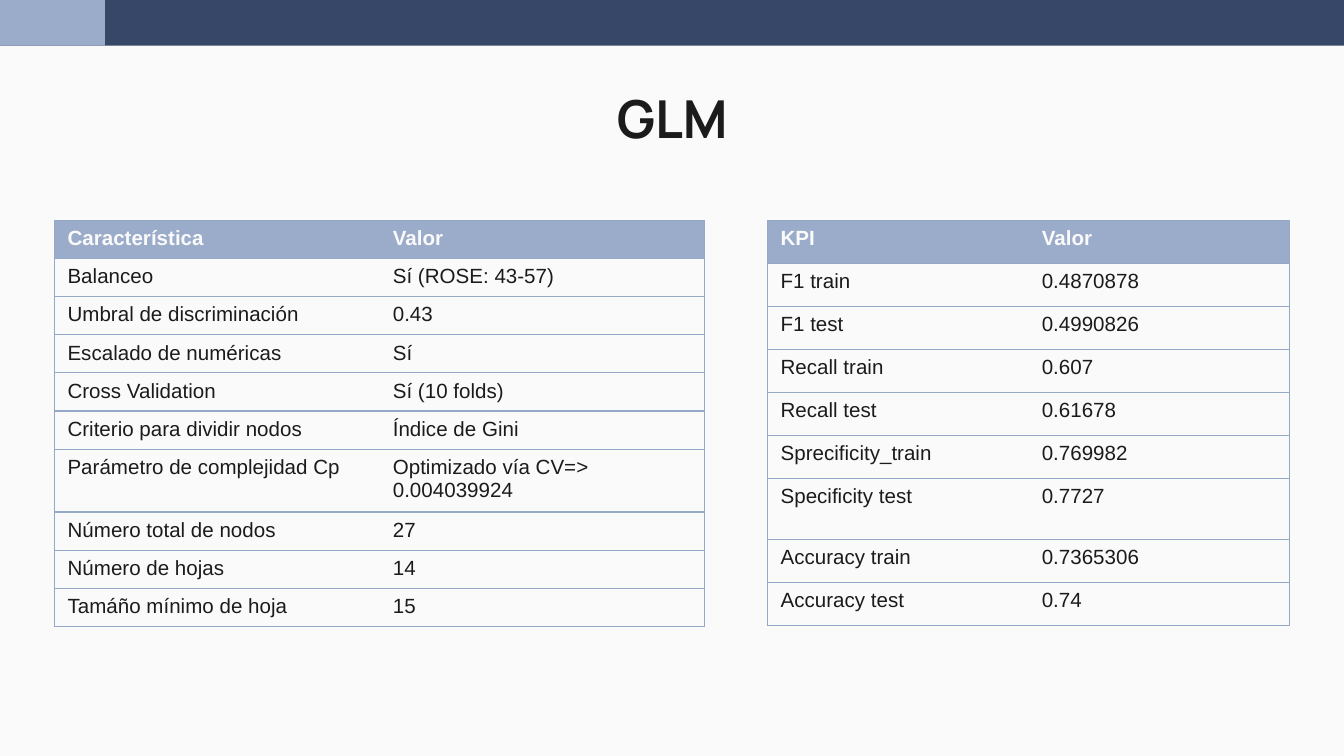
from lxml.etree import SubElement
from pptx import Presentation
from pptx.dml.color import RGBColor
from pptx.enum.shapes import MSO_SHAPE as Shape
from pptx.enum.text import MSO_ANCHOR as Anchor, PP_ALIGN as Align
from pptx.oxml.ns import qn
from pptx.util import Pt

COLORS = {
    "paper": "FAFAFA",
    "ink": "1B1B1B",
    "navy": "374768",
    "sky": "9BACCA",
    "rule": "96A8C7",
}

FEATURES = [
    ("Característica", "Valor"),
    ("Balanceo", "Sí (ROSE: 43-57)"),
    ("Umbral de discriminación", "0.43"),
    ("Escalado de numéricas", "Sí"),
    ("Cross Validation", "Sí (10 folds)"),
    ("Criterio para dividir nodos", "Índice de Gini"),
    ("Parámetro de complejidad Cp", "Optimizado vía CV=> 0.004039924"),
    ("Número total de nodos", "27"),
    ("Número de hojas", "14"),
    ("Tamáño mínimo de hoja", "15"),
]

KPIS = [
    ("KPI", "Valor"),
    ("F1 train", "0.4870878"),
    ("F1 test", "0.4990826"),
    ("Recall train", "0.607"),
    ("Recall test", "0.61678"),
    ("Sprecificity_train", "0.769982"),
    ("Specificity test", "0.7727"),
    ("Accuracy train", "0.7365306"),
    ("Accuracy test", "0.74"),
]


class Deck:
    """Style of the deck and its current slide."""

    def __init__(self, width, height):
        self.deck = Presentation()
        self.deck.slide_width, self.deck.slide_height = Pt(width), Pt(height)
        self.slide = self.deck.slides.add_slide(self.deck.slide_layouts[6])
        self.paint(self.slide.background.fill, "paper")

    def paint(self, fill, color):
        fill.solid()
        fill.fore_color.rgb = RGBColor.from_string(COLORS[color])

    def style_text(self, paragraph, text, font, size, color, bold):
        paragraph.text = text
        paragraph.font.name = font
        paragraph.font.size = Pt(size)
        paragraph.font.bold = bold
        paragraph.font.color.rgb = RGBColor.from_string(COLORS[color])

    def band(self, left, top, width, height, color):
        band = self.slide.shapes.add_shape(
            Shape.RECTANGLE, Pt(left), Pt(top), Pt(width), Pt(height))
        band.shadow.inherit = False
        band.line.fill.background()
        self.paint(band.fill, color)

    def title(self, text, left, top, width, height):
        frame = self.slide.shapes.add_textbox(
            Pt(left), Pt(top), Pt(width), Pt(height)).text_frame
        frame.word_wrap = True
        frame.vertical_anchor = Anchor.MIDDLE
        frame.margin_top = frame.margin_bottom = Pt(7.2)
        self.style_text(frame.paragraphs[0], text, "Manrope", 28, "ink", True)
        frame.paragraphs[0].alignment = Align.CENTER

    def borders(self, cell, hidden):
        properties = cell._tc.get_or_add_tcPr()
        for position, side in enumerate(("lnL", "lnR", "lnT", "lnB")):
            line = SubElement(properties, qn(f"a:{side}"), w=str(Pt(0.75)))
            properties.insert(position, line)
            if side == hidden:
                SubElement(line, qn("a:noFill"))
            else:
                fill = SubElement(line, qn("a:solidFill"))
                SubElement(fill, qn("a:srgbClr"), val=COLORS["rule"])

    def table(self, rows, left, top, width, row_height, tall_height, tall_row=6):
        height = row_height * (len(rows) - 1) + tall_height
        table = self.slide.shapes.add_table(
            len(rows), 2, Pt(left), Pt(top), Pt(width), Pt(height)).table
        table.horz_banding = False
        for index, texts in enumerate(rows):
            header = index == 0
            table.rows[index].height = Pt(tall_height if index == tall_row else row_height)
            for column, text in enumerate(texts):
                cell = table.cell(index, column)
                if header:
                    self.paint(cell.fill, "sky")
                else:
                    cell.fill.background()
                self.borders(cell, "lnL" if column else "lnR")
                self.style_text(cell.text_frame.paragraphs[0], text, "Arial", 11,
                                "paper" if header else "ink", header)


def main():
    deck = Deck(720, 405)
    deck.band(0, 0, 720, 24.5, "navy")
    deck.band(0, 0, 56.2, 24.5, "sky")
    deck.title("GLM", 56.6, 40.5, 607, 45.5)
    deck.table(FEATURES, 29, 118, 348.6, 19.5, 31.7)
    deck.table(KPIS, 411, 118, 279.8, 23.1, 32.4)
    deck.deck.save("out.pptx")


if __name__ == "__main__":
    main()
